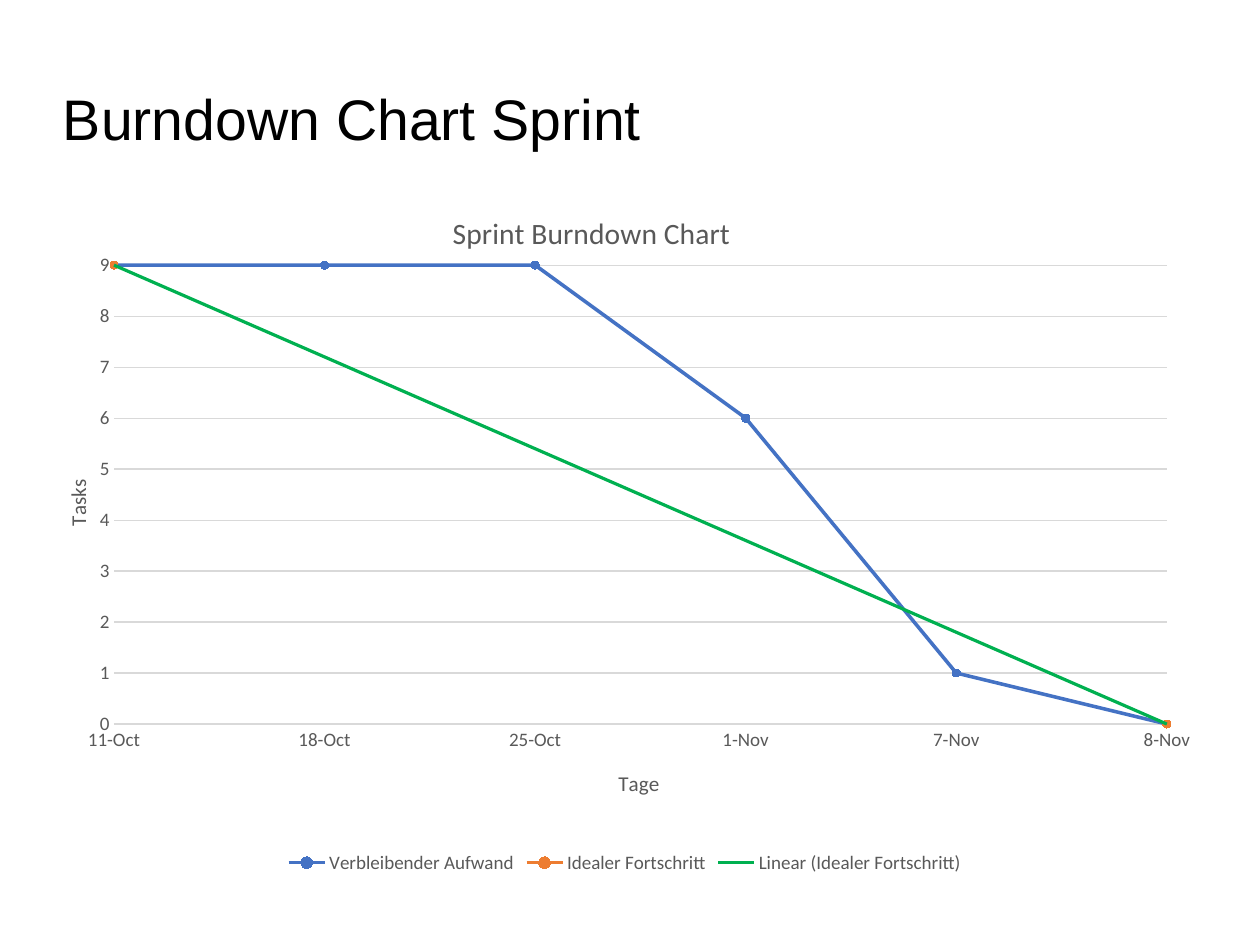
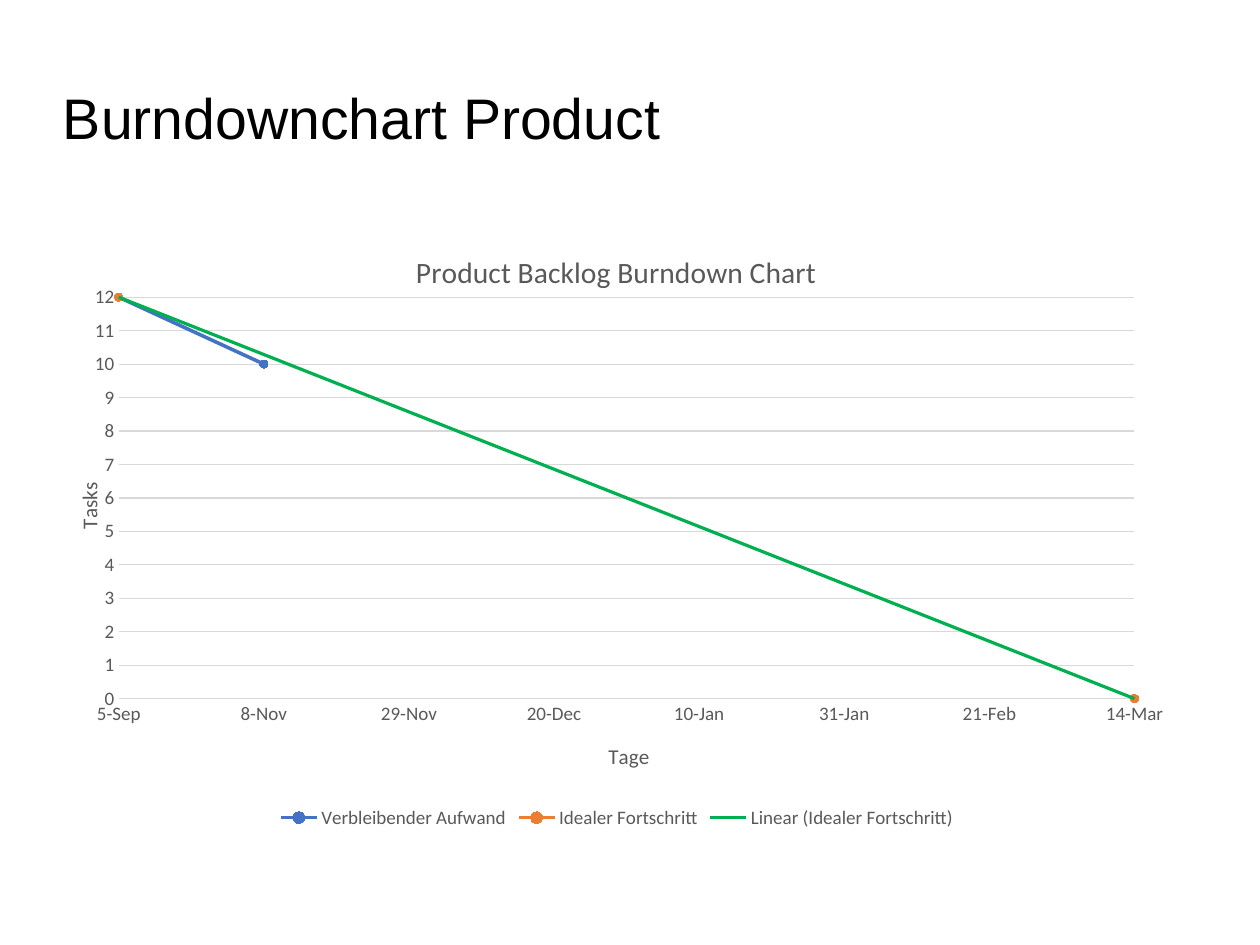
from pptx import Presentation
from pptx.chart.data import CategoryChartData
from pptx.dml.color import RGBColor
from pptx.enum.chart import (XL_CHART_TYPE as ChartType, XL_LEGEND_POSITION as LegendSide,
                             XL_MARKER_STYLE as Marker, XL_TICK_MARK as Tick)
from pptx.enum.text import MSO_ANCHOR as Anchor, MSO_AUTO_SIZE as AutoSize, PP_ALIGN as Align
from pptx.oxml import parse_xml
from pptx.oxml.ns import nsdecls, qn
from pptx.util import Emu, Pt

BLACK = RGBColor(0x00, 0x00, 0x00)
GREY = RGBColor(0x59, 0x59, 0x59)
GRID = RGBColor(0xD9, 0xD9, 0xD9)
BLUE = RGBColor(0x44, 0x72, 0xC4)
ORANGE = RGBColor(0xED, 0x7D, 0x31)
GREEN = RGBColor(0x00, 0xB0, 0x50)

TITLE_FONT, CHART_FONT = "Arial", "Calibri"
REMAINING, IDEAL = "Verbleibender Aufwand", "Idealer Fortschritt"
TITLE_ONLY = 5


def px(count):
    """40 px make one centimetre."""
    return Emu(count * 9000)


def style_font(font, size, color=GREY, name=CHART_FONT):
    font.size, font.name, font.bold = Pt(size), name, False
    font.color.rgb = color


def put_before(sibling, xml):
    """Put a chart element before its sibling, replacing one of the same tag."""
    element = parse_xml(xml)
    parent = sibling.getparent()
    for old in parent.findall(element.tag):
        parent.remove(old)
    sibling.addprevious(element)


def layout_xml(*place):
    """Manual layout: x, y and, for a plot, width and height in thousandths of the chart."""
    target = '<c:layoutTarget val="outer"/>' if len(place) == 4 else ""
    values = "".join(f'<c:{tag} val="{part / 1000}"/>' for tag, part in zip("xywh", place))
    return (f'<c:layout {nsdecls("c")}><c:manualLayout>{target}'
            f'<c:xMode val="edge"/><c:yMode val="edge"/>{values}'
            '</c:manualLayout></c:layout>')


def set_title(page, text, top):
    title = page.shapes.title
    title.left, title.top, title.width, title.height = px(56), px(top), px(800), px(80)
    frame = title.text_frame
    frame.margin_left = frame.margin_right = frame.margin_top = frame.margin_bottom = 0
    frame.vertical_anchor, frame.word_wrap = Anchor.MIDDLE, True
    frame.auto_size = AutoSize.SHAPE_TO_FIT_TEXT
    para = frame.paragraphs[0]
    para.alignment = Align.LEFT
    span = para.add_run()
    span.text = text
    style_font(span.font, 36, BLACK, TITLE_FONT)


def set_chart_text(frame, text, size):
    frame.text = text
    style_font(frame.paragraphs[0].font, size)


def style_axis(axis, title):
    set_chart_text(axis.axis_title.text_frame, title, 13.3)
    style_font(axis.tick_labels.font, 12)
    axis.major_tick_mark = axis.minor_tick_mark = Tick.NONE


def style_line(line, color, width):
    line.color.rgb, line.width = color, Pt(width)


def style_series(series, color):
    series.smooth = False
    style_line(series.format.line, color, 2.25)
    series.marker.style, series.marker.size = Marker.CIRCLE, 5
    series.marker.format.fill.solid()
    series.marker.format.fill.fore_color.rgb = color
    style_line(series.marker.format.line, color, 0.75)


def add_trend(series):
    put_before(series._element.find(qn("c:cat")), (
        f'<c:trendline {nsdecls("c", "a")}><c:name>Linear ({series.name})</c:name>'
        f'<c:spPr><a:ln w="{Pt(2)}"><a:solidFill><a:srgbClr val="{GREEN}"/>'
        '</a:solidFill></a:ln></c:spPr><c:trendlineType val="linear"/>'
        '<c:dispRSqr val="0"/><c:dispEq val="0"/></c:trendline>'))


def add_burndown(page, box, title, title_at, plot_at, days, remaining):
    # Data: the ideal progress has only its two ends
    total = remaining[0]
    data = CategoryChartData()
    data.categories = days
    data.add_series(REMAINING, remaining + [None] * (len(days) - len(remaining)))
    data.add_series(IDEAL, [total] + [None] * (len(days) - 2) + [0])
    chart = page.shapes.add_chart(ChartType.LINE_MARKERS, *map(px, box), data).chart
    style_font(chart.font, 10, BLACK, TITLE_FONT)

    # Title and legend
    set_chart_text(chart.chart_title.text_frame, title, 18.6)
    put_before(chart.chart_title._element.find(qn("c:overlay")), layout_xml(*title_at))
    chart.has_legend = True
    chart.legend.position = LegendSide.BOTTOM
    chart.legend.include_in_layout = False
    style_font(chart.legend.font, 12)

    # Axes
    style_axis(chart.category_axis, "Tage")
    style_line(chart.category_axis.format.line, GRID, 0.75)
    tasks = chart.value_axis
    style_axis(tasks, "Tasks")
    tasks.axis_title.text_frame._txBody.bodyPr.set("rot", "-5400000")
    tasks.minimum_scale, tasks.maximum_scale, tasks.major_unit = 0, total, 1
    tasks.format.line.fill.background()
    style_line(tasks.major_gridlines.format.line, GRID, 0.75)
    put_before(tasks._element.find(qn("c:majorUnit")),
               f'<c:crossBetween {nsdecls("c")} val="midCat"/>')

    # Plot and series
    plot = chart.plots[0]
    plot.vary_by_categories = False
    put_before(plot._element, layout_xml(*plot_at))
    for series, color in zip(plot.series, (BLUE, ORANGE)):
        style_series(series, color)
    add_trend(plot.series[1])


def add_page(deck, title, top):
    page = deck.slides.add_slide(deck.slide_layouts[TITLE_ONLY])
    set_title(page, title, top)
    return page


def main():
    deck = Presentation()
    deck.slide_width, deck.slide_height = px(1120), px(840)

    # Sprint
    page = add_page(deck, "Burndown Chart Sprint", 65)
    add_burndown(page, (53, 166, 1005, 615), "Sprint Burndown Chart",
                 (343, 30), (25, 97, 975, 719),
                 ["11-Oct", "18-Oct", "25-Oct", "1-Nov", "7-Nov", "8-Nov"],
                 [9, 9, 9, 6, 1, 0])

    # Product backlog
    page = add_page(deck, "Burndownchart Product", 64)
    add_burndown(page, (63, 203, 971, 538), "Product Backlog Burndown Chart",
                 (311, 30), (22, 95, 978, 727),
                 ["5-Sep", "8-Nov", "29-Nov", "20-Dec", "10-Jan", "31-Jan", "21-Feb", "14-Mar"],
                 [12, 10])

    deck.save("out.pptx")


if __name__ == "__main__":
    main()
